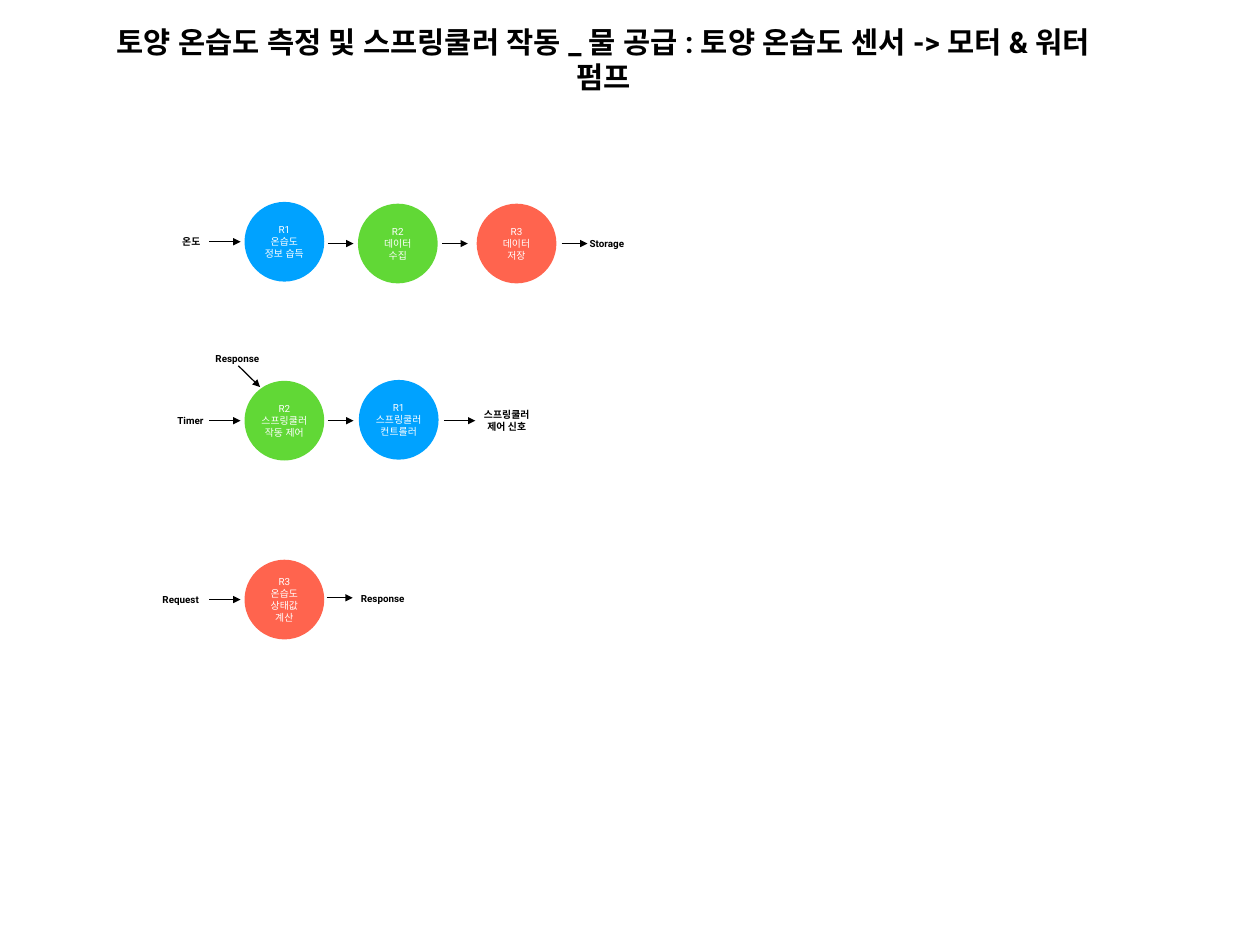
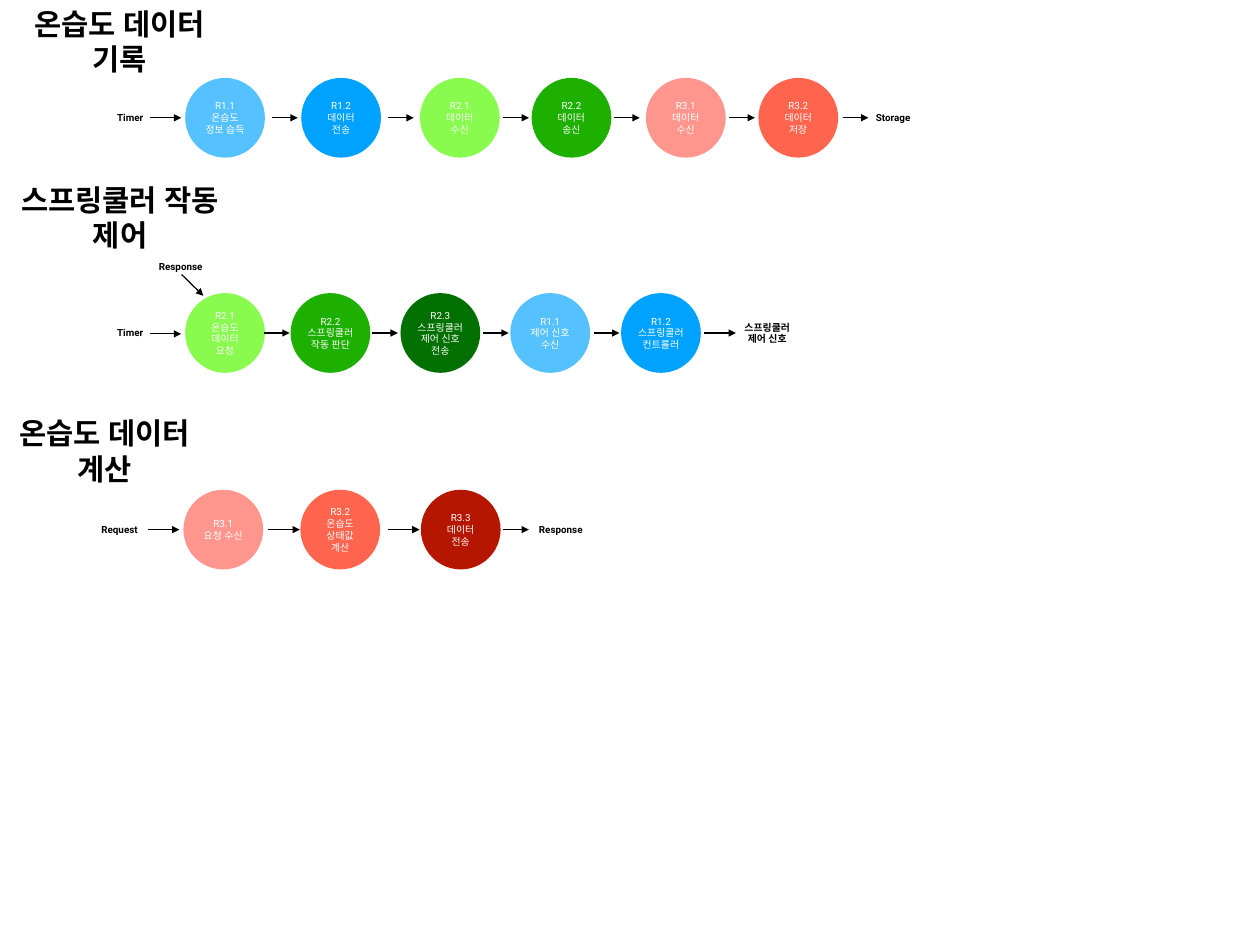
from dataclasses import dataclass
from typing import Optional

from lxml import etree
from pptx import Presentation
from pptx import util as u
from pptx.dml.color import RGBColor
from pptx.enum import shapes, text
from pptx.oxml.ns import qn

# The grid: square cells, ten to the inch. All lengths below are in cells.
CELL = u.Inches(0.1)
COLS, ROWS = 142.2, 106.7
DIAMETER = 9
LABEL_WIDTH = 7
SHORT, LONG = 2.9, 3.55
INSET = 0.6
FONT = "Roboto"

COLORS = {
    "black": "000000", "white": "FFFFFF",
    "sky": "56C1FF", "blue": "00A2FF",
    "lime": "89FA4E", "green": "61D836", "leaf": "1EB001", "forest": "027001",
    "pink": "FF968D", "coral": "FF644E", "brick": "B51600",
}
STYLES = {
    "heading": {"size": u.Pt(24), "bold": True, "color": "black"},
    "label": {"size": u.Pt(8), "bold": True, "color": "black"},
    "step": {"size": u.Pt(8), "bold": False, "color": "white"},
}


@dataclass
class Heading:
    """A large title, wrapped inside its width."""
    words: str
    left: float
    middle: float
    width: float


@dataclass
class Step:
    """A circle in a flow; dy moves it off the axis."""
    words: str
    left: float
    color: str
    dy: float = 0


@dataclass
class Arrow:
    """A horizontal arrow in a flow."""
    left: float
    length: float = SHORT
    dy: float = 0


@dataclass
class Label:
    """A bold caption, centred on a point of the flow's axis."""
    words: str
    center: float
    dy: float = 0


@dataclass
class Flow:
    """Steps, arrows and labels on one horizontal axis."""
    axis: float
    steps: list[Step]
    arrows: list[Arrow]
    labels: list[Label]
    reply: Optional[Label] = None


def cells(n: float) -> u.Emu:
    """Turn grid cells into a length."""
    return u.Emu(round(n * CELL))


def rgb(name: str) -> RGBColor:
    """Look up a colour by name."""
    return RGBColor.from_string(COLORS[name])


def write(sp, words: str, style: str, wrap: bool) -> None:
    """Fill a shape with centred paragraphs, one for each line of words."""
    tf = sp.text_frame
    frame = {"word_wrap": wrap, "vertical_anchor": text.MSO_ANCHOR.MIDDLE}
    frame |= {f"margin_{side}": cells(INSET)
              for side in ("left", "right", "top", "bottom")}
    for name, value in frame.items():
        setattr(tf, name, value)
    for i, line in enumerate(words.split("\n")):
        p = tf.add_paragraph() if i else tf.paragraphs[0]
        p.alignment = text.PP_ALIGN.CENTER
        r = p.add_run()
        r.text = line
        look = {"name": FONT, **STYLES[style]}
        r.font.color.rgb = rgb(look.pop("color"))
        for name, value in look.items():
            setattr(r.font, name, value)
        etree.SubElement(r.font._element, qn("a:ea"), typeface=FONT)


def add_text(s, words: str, style: str, left: float, middle: float,
             width: float, wrap: bool) -> None:
    """Add a text box centred on a height."""
    height = 5.3 if style == "heading" else 2.5
    sp = s.shapes.add_textbox(*map(cells, (left, middle - height / 2, width, height)))
    write(sp, words, style, wrap)


def add_label(s, label: Label, axis: float) -> None:
    """Add a caption around its centre, wide enough to keep words whole."""
    add_text(s, label.words, "label", label.center - LABEL_WIDTH / 2,
             axis + label.dy, LABEL_WIDTH, False)


def add_step(s, step: Step, axis: float) -> None:
    """Add a filled circle with its text."""
    top = axis + step.dy - DIAMETER / 2
    sp = s.shapes.add_shape(shapes.MSO_SHAPE.OVAL,
                            *map(cells, (step.left, top, DIAMETER, DIAMETER)))
    sp.shadow.inherit = False
    sp.fill.solid()
    sp.fill.fore_color.rgb = rgb(step.color)
    sp.line.fill.background()
    write(sp, step.words, "step", True)


def add_arrow(s, x1: float, y1: float, x2: float, y2: float) -> None:
    """Add a thin black line with an arrowhead at its end."""
    sp = s.shapes.add_connector(shapes.MSO_CONNECTOR.STRAIGHT,
                                *map(cells, (x1, y1, x2, y2)))
    sp.line.width = u.Pt(1)
    sp.line.color.rgb = rgb("black")
    etree.SubElement(sp.line._get_or_add_ln(), qn("a:tailEnd"), type="triangle")
    etree.SubElement(sp._element.spPr, qn("a:effectLst"))


def add_flow(s, flow: Flow) -> None:
    """Draw one flow, with the slanted reply if it has one."""
    for step in flow.steps:
        add_step(s, step, flow.axis)
    for arrow in flow.arrows:
        y = flow.axis + arrow.dy
        add_arrow(s, arrow.left, y, arrow.left + arrow.length, y)
    for label in flow.labels:
        add_label(s, label, flow.axis)
    if flow.reply:
        add_label(s, flow.reply, flow.axis)
        x, y = flow.reply.center + 0.1, flow.axis + flow.reply.dy + 0.85
        add_arrow(s, x, y, x + 2.45, y + 2.4)


def add_slide(prs, headings: list[Heading], flows: list[Flow]) -> None:
    """Add a blank slide with its flows and headings."""
    s = prs.slides.add_slide(prs.slide_layouts[6])
    for flow in flows:
        add_flow(s, flow)
    for h in headings:
        add_text(s, h.words, "heading", h.left, h.middle, h.width, True)


SIGNAL = "스프링쿨러\n제어 신호"
CONTROLLER = "스프링쿨러\n컨트롤러"

OVERVIEW = [
    Flow(27.5,
         [Step("R1\n온습도 정보 습득", 27.6, "blue", -0.2),
          Step("R2\n데이터 수집", 40.4, "green"),
          Step("R3\n데이터 저장", 53.8, "coral")],
         [Arrow(23.6, LONG, -0.2), Arrow(37), Arrow(49.9), Arrow(63.4)],
         [Label("온도", 21.6, -0.2), Label("Storage", 68.5)]),
    Flow(47.5,
         [Step("R2\n스프링쿨러\n작동 제어", 27.6, "green"),
          Step("R1\n" + CONTROLLER, 40.5, "blue", -0.1)],
         [Arrow(23.6, LONG), Arrow(37), Arrow(50.1, LONG)],
         [Label("Timer", 21.5), Label(SIGNAL, 57.2)],
         Label("Response", 26.8, -7.05)),
    Flow(67.7,
         [Step("R3\n온습도 상태값\n계산", 27.6, "coral")],
         [Arrow(23.6, LONG), Arrow(36.9, dy=-0.2)],
         [Label("Request", 20.4), Label("Response", 43.2, -0.1)]),
]

DETAILS = [
    Flow(13.3,
         [Step("R1.1\n온습도 정보 습득", 20.9, "sky"),
          Step("R1.2\n데이터 전송", 34, "blue"),
          Step("R2.1\n데이터 수신", 47.4, "lime"),
          Step("R2.2\n데이터 송신", 60, "leaf"),
          Step("R3.1\n데이터 수신", 72.9, "pink"),
          Step("R3.2\n데이터 저장", 85.6, "coral")],
         [Arrow(16.9, LONG)] + [Arrow(x) for x in (30.7, 43.8, 56.8, 69.3, 82.3, 95.1)],
         [Label("Timer", 14.7), Label("Storage", 100.8)]),
    Flow(37.6,
         [Step("R2.1\n온습도 데이터\n요청", 20.9, "lime"),
          Step("R2.2\n스프링쿨러\n작동 판단", 32.8, "leaf"),
          Step("R2.3\n스프링쿨러\n제어 신호 전송", 45.2, "forest"),
          Step("R1.1\n제어 신호 수신", 57.6, "sky"),
          Step("R1.2\n" + CONTROLLER, 70.1, "blue")],
         [Arrow(16.9, LONG, 0.1), Arrow(79.5, LONG)]
         + [Arrow(x) for x in (29.8, 42, 54.5, 67)],
         [Label("Timer", 14.7), Label(SIGNAL, 86.6)],
         Label("Response", 20.4, -7.45)),
    Flow(59.8,
         [Step("R3.1\n요청 수신", 20.7, "pink"),
          Step("R3.2\n온습도 상태값\n계산", 33.9, "coral"),
          Step("R3.3\n데이터 전송", 47.5, "brick")],
         [Arrow(x, LONG) for x in (16.7, 30.3, 43.8)] + [Arrow(56.8)],
         [Label("Request", 13.5), Label("Response", 63.3)]),
]


def main() -> None:
    """Build both slides and save them."""
    prs = Presentation()
    prs.slide_width, prs.slide_height = cells(COLS), cells(ROWS)
    add_slide(prs, [Heading("토양 온습도 측정 및 스프링쿨러 작동 _ 물 공급 : "
                            "토양 온습도 센서 -> 모터 & 워터 펌프", 10.8, 6.7, 114.6)],
              OVERVIEW)
    add_slide(prs, [Heading("온습도 데이터 기록", 0.4, 4.65, 26.2),
                    Heading("스프링쿨러 작동 제어", -1, 24.55, 29.1),
                    Heading("온습도 데이터 계산", -1.3, 50.9, 26.2)],
              DETAILS)
    prs.save("out.pptx")


main()
